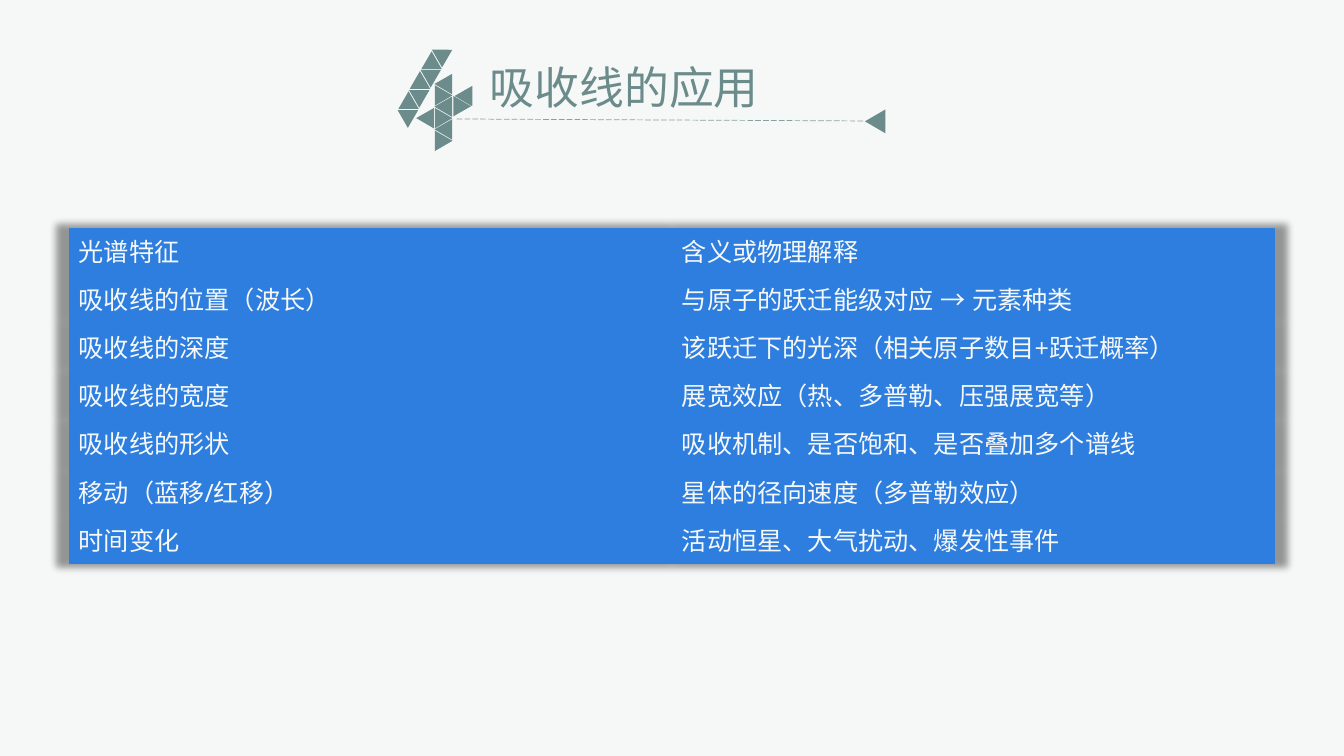
from dataclasses import dataclass

from pptx import Presentation
from pptx.dml.color import RGBColor
from pptx.enum.dml import MSO_LINE
from pptx.enum.shapes import MSO_CONNECTOR, MSO_SHAPE
from pptx.enum.text import MSO_ANCHOR, MSO_AUTO_SIZE, PP_ALIGN
from pptx.oxml import parse_xml
from pptx.oxml.ns import nsdecls, qn
from pptx.util import Pt


@dataclass(frozen=True)
class Theme:
    background: str = "F6F8F8"
    accent: str = "6C8B8B"
    table_fill: str = "2D7EDF"
    table_text: str = "F6F8F8"
    title_font: str = "Noto Sans CJK SC"
    body_font: str = "Open Sans"
    title_size: float = 32
    body_size: float = 18


NO_STYLE = "{2D5ABB26-0587-4C30-8999-92F81FD0307C}"

SPECTRUM_ROWS = [
    ("光谱特征", "含义或物理解释"),
    ("吸收线的位置（波长）", "与原子的跃迁能级对应 → 元素种类"),
    ("吸收线的深度", "该跃迁下的光深（相关原子数目+跃迁概率）"),
    ("吸收线的宽度", "展宽效应（热、多普勒、压强展宽等）"),
    ("吸收线的形状", "吸收机制、是否饱和、是否叠加多个谱线"),
    ("移动（蓝移/红移）", "星体的径向速度（多普勒效应）"),
    ("时间变化", "活动恒星、大气扰动、爆发性事件"),
]

# Runs of triangles forming the digit 4: left, top, step x, step y, count, rotation
DIGIT_RUNS = [
    (310.3, 32.4, -8.15, 14.4, 4, 60.2),
    (294.5, 54, -8.15, 14.4, 2, 120),
    (301, 36.7, 0, 0, 1, 0.2),
    (312.5, 51.9, 0, 16.2, 3, 30.2),
    (309.6, 61.9, 0, 16.2, 3, 90),
    (326.9, 60.5, 0, 0, 1, 30.2),
    (319.7, 67.7, 0, 0, 1, 330.2),
    (299.5, 76.3, 0, 0, 1, 30.2),
]


def write_text(text_frame, text, *, font, size, color, align=PP_ALIGN.LEFT):
    paragraph = text_frame.paragraphs[0]
    paragraph.alignment = align
    run = paragraph.add_run()
    run.text = text
    run.font.name = font
    run.font.size = Pt(size)
    run.font.color.rgb = RGBColor.from_string(color)
    east_asian = parse_xml(f'<a:ea {nsdecls("a")} typeface="{font}"/>')
    run.font._element.find(qn("a:latin")).addnext(east_asian)


class SlideBuilder:
    def __init__(self, slide, theme):
        self.slide = slide
        self.theme = theme
        background = slide.background.fill
        background.solid()
        background.fore_color.rgb = RGBColor.from_string(theme.background)

    def title(self, text, left, top, width, height):
        shape = self.slide.shapes.title
        shape.left, shape.top = Pt(left), Pt(top)
        shape.width, shape.height = Pt(width), Pt(height)
        text_frame = shape.text_frame
        text_frame.word_wrap = True
        text_frame.auto_size = MSO_AUTO_SIZE.SHAPE_TO_FIT_TEXT
        text_frame.vertical_anchor = MSO_ANCHOR.TOP
        write_text(text_frame, text, font=self.theme.title_font,
                   size=self.theme.title_size, color=self.theme.accent)

    def group(self):
        return self.slide.shapes.add_group_shape()

    def triangle(self, group, left, top, width, height, rotation):
        shape = group.shapes.add_shape(MSO_SHAPE.ISOSCELES_TRIANGLE, Pt(left),
                                       Pt(top), Pt(width), Pt(height))
        shape.rotation = rotation
        shape.shadow.inherit = False
        shape.fill.solid()
        shape.fill.fore_color.rgb = RGBColor.from_string(self.theme.accent)
        shape.line.fill.background()

    def dashed_line(self, group, start, end):
        connector = group.shapes.add_connector(
            MSO_CONNECTOR.STRAIGHT, *map(Pt, start + end))
        line = connector.line
        line.color.rgb = RGBColor.from_string(self.theme.accent)
        line.width = Pt(0.5)
        line.dash_style = MSO_LINE.LONG_DASH
        color = next(connector._element.spPr.iter(qn("a:srgbClr")))
        color.append(parse_xml(f'<a:alpha {nsdecls("a")} val="80000"/>'))
        connector._element.spPr.append(
            parse_xml(f'<a:effectLst {nsdecls("a")}/>'))

    def table(self, rows, left, top, width, height):
        frame = self.slide.shapes.add_table(
            len(rows), len(rows[0]), Pt(left), Pt(top), Pt(width), Pt(height))
        table = frame.table
        table.first_row = table.horz_banding = False
        properties = table._tbl.tblPr
        properties.find(qn("a:tableStyleId")).text = NO_STYLE
        # Soft shadow, slightly larger than the table
        properties.insert(0, parse_xml(
            f'<a:effectLst {nsdecls("a")}><a:outerShdw blurRad="63500" '
            'sx="102000" sy="102000" algn="ctr" rotWithShape="0">'
            '<a:prstClr val="black"><a:alpha val="40000"/></a:prstClr>'
            '</a:outerShdw></a:effectLst>'))
        for row_index, row in enumerate(rows):
            for column_index, text in enumerate(row):
                cell = table.cell(row_index, column_index)
                cell.vertical_anchor = MSO_ANCHOR.MIDDLE
                cell.fill.solid()
                cell.fill.fore_color.rgb = RGBColor.from_string(
                    self.theme.table_fill)
                write_text(cell.text_frame, text, font=self.theme.body_font,
                           size=self.theme.body_size,
                           color=self.theme.table_text)


def main():
    presentation = Presentation()
    presentation.slide_width, presentation.slide_height = Pt(960), Pt(540)
    slide = presentation.slides.add_slide(presentation.slide_layouts[5])
    builder = SlideBuilder(slide, Theme())

    # Heading
    builder.title("吸收线的应用", 342.7, 38.9, 333.4, 46.1)

    # Dashed rule with its arrow
    rule = builder.group()
    builder.dashed_line(rule, (326.2, 85), (617.8, 86.4))
    builder.triangle(rule, 616.6, 79.4, 17, 14.6, 270)

    # Digit 4 made of triangles
    digit = builder.group()
    for left, top, step_x, step_y, count, rotation in DIGIT_RUNS:
        for index in range(count):
            builder.triangle(digit, left + index * step_x,
                             top + index * step_y, 14.6, 12.6, rotation)

    # Spectrum features and their meaning
    builder.table(SPECTRUM_ROWS, 49, 162.7, 861.8, 240.6)

    presentation.save("out.pptx")


if __name__ == "__main__":
    main()
